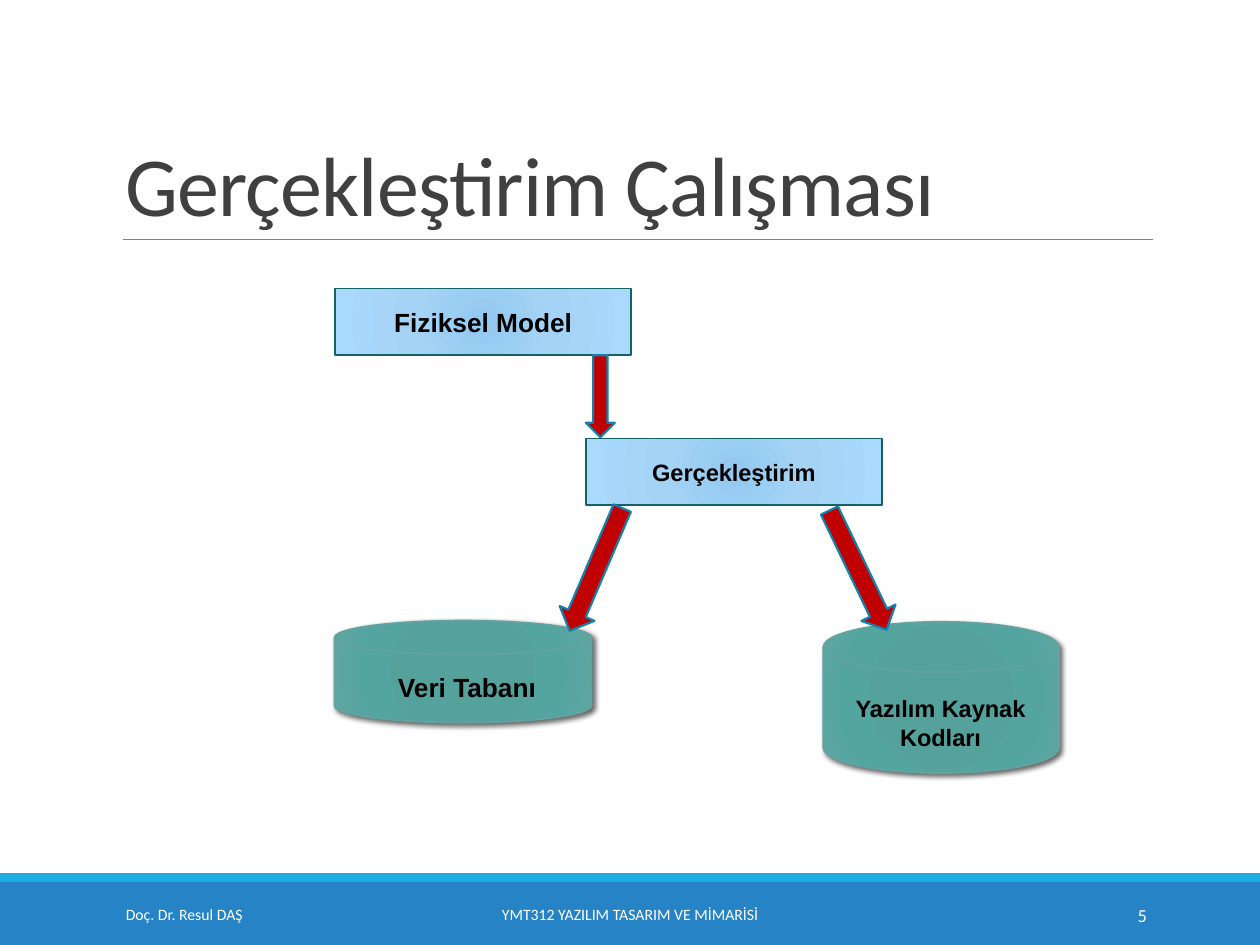
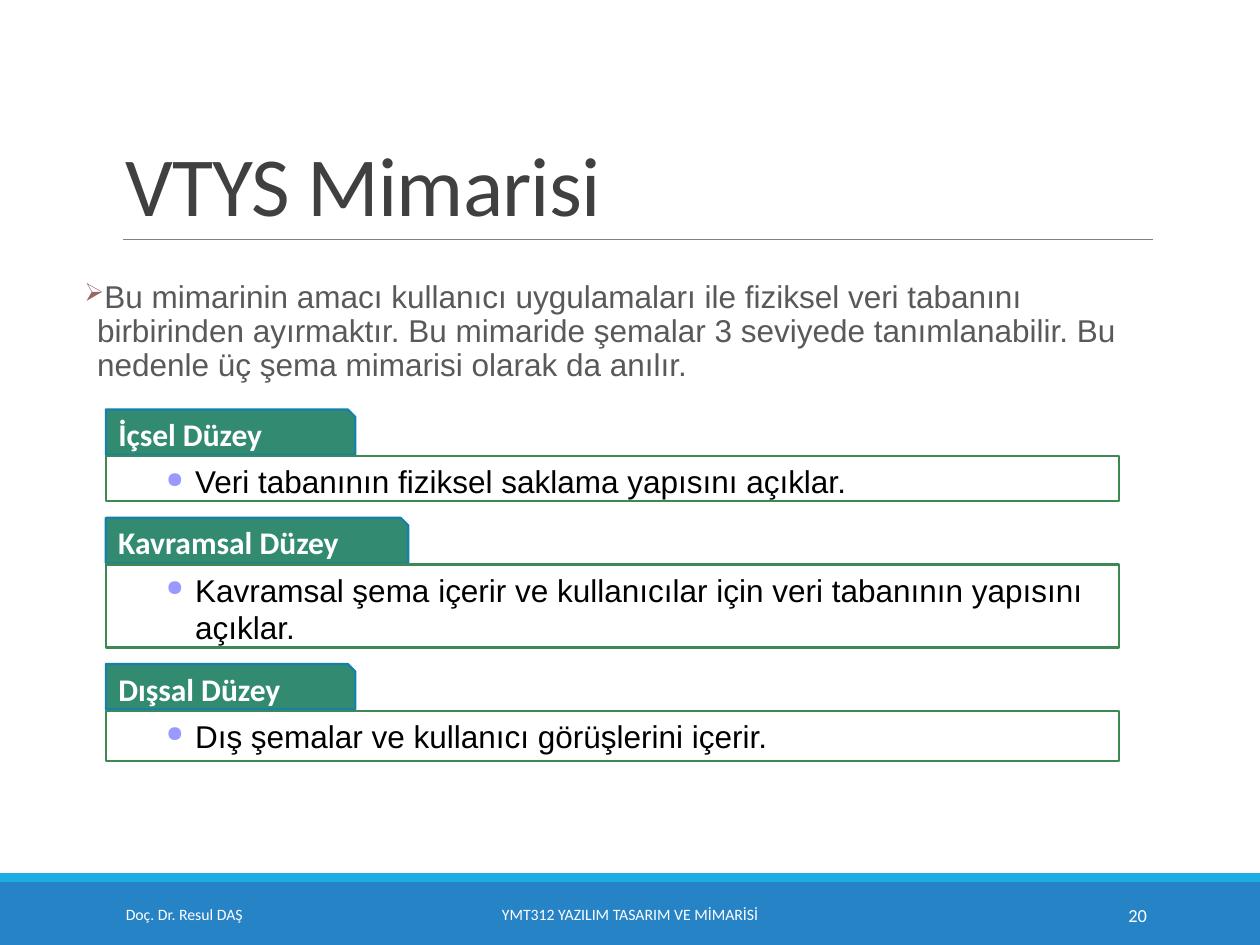
from pptx import Presentation, util as u
from pptx.dml.color import RGBColor
from pptx.enum import shapes, text
from pptx.oxml import parse_xml
from pptx.oxml.ns import nsdecls, qn

Inches, Pt = u.Inches, u.Pt
SHAPE, ALIGN, ANCHOR = shapes.MSO_SHAPE, text.PP_ALIGN, text.MSO_ANCHOR
WHITE, BLACK, TITLE, BODY = "FFFFFF", "000000", "404040", "595959"
BAND, STRIPE, RULE = "2683C6", "1CADE4", "808080"
TAB, BLUE_EDGE, GREEN_EDGE, ARROW = "328B71", "1580A9", "3E8853", "C00000"
BOX_EDGE, DRUM_EDGE = "146266", "62A39F"
BOX_STOPS = [(0, "92C9F0"), (45, "A4D3F5"), (100, "A9D9FD")]
DRUM_STOPS = [(0, "52A19C"), (34, "55A19C"), (70, "54A5A0"), (100, "5FA6A2")]
LECTURER = "Doç. Dr. Resul DAŞ"
COURSE = "YMT312 YAZILIM TASARIM VE MİMARİSİ"


def rgb(value):
    """Turn a hex string into a colour."""
    return RGBColor.from_string(value)


def xml(source):
    """Parse one DrawingML element."""
    head, rest = source.split(">", 1)
    slash = "/" if head.endswith("/") else ""
    return parse_xml(f"{head.rstrip('/')} {nsdecls('a')}{slash}>{rest}")


def write(sp, words, size, color, font="Arial", bold=False, align=ALIGN.LEFT,
          anchor=ANCHOR.MIDDLE, wrap=True):
    """Put one formatted paragraph into a shape and return it."""
    tf = sp.text_frame
    tf.word_wrap, tf.vertical_anchor = wrap, anchor
    p = tf.paragraphs[0]
    p.text, p.alignment = words, align
    for r in p.runs:
        r.font.size, r.font.name, r.font.bold = Pt(size), font, bold
        r.font.color.rgb = rgb(color)
    return p


def add_text(s, at, words, size, color, **style):
    """Add a text box and return it."""
    sp = s.shapes.add_textbox(*map(Inches, at))
    write(sp, words, size, color, **style)
    return sp


def add_shape(s, kind, at, fill, line=None, width=1.25, rotation=0):
    """Add a preset shape with a solid fill or a list of gradient stops."""
    sp = s.shapes.add_shape(kind, *map(Inches, at))
    sp.shadow.inherit = False
    sp.rotation = rotation
    if isinstance(fill, str):
        sp.fill.solid()
        sp.fill.fore_color.rgb = rgb(fill)
    else:
        add_gradient(sp, fill)
    if line:
        sp.line.color.rgb = rgb(line)
        sp.line.width = Pt(width)
    else:
        sp.line.fill.background()
    return sp


def add_gradient(sp, stops):
    """Fill a shape with a circular gradient."""
    marks = "".join(f'<a:gs pos="{pos * 1000}"><a:srgbClr val="{color}"/></a:gs>'
                    for pos, color in stops)
    sp.fill.solid()
    spPr = sp._element.spPr
    spPr.replace(spPr.find(qn("a:solidFill")), xml(
        f'<a:gradFill rotWithShape="1"><a:gsLst>{marks}</a:gsLst><a:path path="circle">'
        '<a:fillToRect l="100000" t="100000" r="100000" b="100000"/></a:path></a:gradFill>'))


def add_bullet(p, char, color, percent, left, hang):
    """Give a paragraph a coloured hanging bullet."""
    pPr = p._p.get_or_add_pPr()
    pPr.set("marL", str(Inches(left)))
    pPr.set("indent", str(-Inches(hang)))
    for source in (f'<a:buClr><a:srgbClr val="{color}"/></a:buClr>',
                   f'<a:buSzPct val="{percent * 1000}"/>',
                   f'<a:buChar char="{char}"/>'):
        pPr.append(xml(source))


def add_slide(prs, title, number):
    """Add a slide with its title, rule, bands and footer."""
    s = prs.slides.add_slide(prs.slide_layouts[6])
    add_shape(s, SHAPE.RECTANGLE, (0, 7, 10, 0.5), BAND)
    add_shape(s, SHAPE.RECTANGLE, (0, 6.93, 10, 0.07), STRIPE)
    rule = s.shapes.add_connector(shapes.MSO_CONNECTOR.STRAIGHT,
                                  *map(Inches, (0.98, 1.9, 9.15, 1.9)))
    rule.line.color.rgb = rgb(RULE)
    rule.line.width = Pt(0.5)
    rule._element.spPr.append(xml("<a:effectLst/>"))
    sp = add_text(s, (0.9, 0.31, 8.25, 1.59), title, 48, TITLE,
                  font="Calibri", anchor=ANCHOR.BOTTOM)
    p = sp.text_frame.paragraphs[0]
    p.line_spacing = 0.85
    p.runs[0]._r.get_or_add_rPr().set("spc", "-50")
    for left, width, words, size, align in (
            (0.9, 2.03, LECTURER, 9, ALIGN.LEFT),
            (3.02, 3.96, COURSE, 9, ALIGN.CENTER),
            (8.12, 1.08, str(number), 10.5, ALIGN.RIGHT)):
        add_text(s, (left, 7.06, width, 0.4), words, size, WHITE,
                 font="Calibri", align=align)
    return s


def add_step(s, left, top, words, size):
    """Add a labelled process box."""
    sp = add_shape(s, SHAPE.RECTANGLE, (left, top, 2.35, 0.53), BOX_STOPS, BOX_EDGE, 1)
    write(sp, words, size, BLACK, bold=True, align=ALIGN.CENTER)


def add_drum(s, at):
    """Add an upright storage drum with a soft shadow."""
    sp = add_shape(s, SHAPE.FLOWCHART_DIRECT_ACCESS_STORAGE, at, DRUM_STOPS,
                   DRUM_EDGE, 1, 270)
    sp._element.spPr.find(qn("a:effectLst")).append(xml(
        f'<a:outerShdw blurRad="{Pt(3)}" dist="{Pt(2)}" dir="2700000" rotWithShape="0">'
        f'<a:srgbClr val="{BLACK}"><a:alpha val="60000"/></a:srgbClr></a:outerShdw>'))


def add_drum_label(s, at, words, size, align):
    """Add the bold label of a drum."""
    sp = add_text(s, at, words, size, BLACK, bold=True, align=align,
                  anchor=ANCHOR.TOP, wrap=False)
    sp.text_frame.auto_size = text.MSO_AUTO_SIZE.SHAPE_TO_FIT_TEXT


def add_level(s, top, tab_width, name, height, words):
    """Add a schema level: a name tab above a bulleted description."""
    tab = add_shape(s, SHAPE.SNIP_1_RECTANGLE, (0.84, top, tab_width, 0.36), TAB, BLUE_EDGE)
    write(tab, name, 18, WHITE, font="Calibri", bold=True)
    box = add_shape(s, SHAPE.RECTANGLE, (0.84, top + 0.37, 8.04, height), WHITE, GREEN_EDGE)
    p = write(box, words, 18, BLACK, anchor=ANCHOR.TOP)
    p.level = 1
    add_bullet(p, "●", "9999FF", 70, 0.61, 0.23)


def build_implementation(prs):
    """Build the flow from physical model to database and source code."""
    s = add_slide(prs, "Gerçekleştirim Çalışması", 5)
    add_step(s, 2.66, 2.29, "Fiziksel Model", 15)
    add_step(s, 4.65, 3.48, "Gerçekleştirim", 13.5)
    add_drum(s, (3.27, 4.31, 0.81, 2.04))
    add_drum(s, (6.87, 4.6, 1.2, 1.87))
    for at, rotation in (((4.65, 2.82, 0.23, 0.65), 0),
                         ((4.58, 3.99, 0.3, 1.06), 23.2),
                         ((6.66, 4, 0.3, 1.05), 334.4)):
        add_shape(s, SHAPE.DOWN_ARROW, at, ARROW, BLUE_EDGE, rotation=rotation)
    add_drum_label(s, (3.06, 5.28, 1.31, 0.35), "Veri Tabanı", 15, ALIGN.LEFT)
    add_drum_label(s, (6.68, 5.46, 1.57, 0.56), "Yazılım Kaynak\vKodları", 13.5,
                   ALIGN.CENTER)


def build_architecture(prs):
    """Build the three schema levels of the database architecture."""
    s = add_slide(prs, "VTYS Mimarisi", 20)
    intro = add_text(
        s, (0.67, 2.18, 8.62, 0.94),
        "Bu mimarinin amacı kullanıcı uygulamaları ile fiziksel veri tabanını "
        "birbirinden ayırmaktır. Bu mimaride şemalar 3 seviyede tanımlanabilir. "
        "Bu nedenle üç şema mimarisi olarak da anılır.", 18, BODY, anchor=ANCHOR.TOP)
    tf = intro.text_frame
    tf.margin_left = tf.margin_right = 0
    p = tf.paragraphs[0]
    add_bullet(p, "➢", "996666", 80, 0.1, 0.1)
    p.line_spacing = 0.9
    top = 3.25
    for tab_width, name, height, words in (
            (1.98, "İçsel Düzey", 0.36, "Veri tabanının fiziksel saklama yapısını açıklar."),
            (2.4, "Kavramsal Düzey", 0.66,
             "Kavramsal şema içerir ve kullanıcılar için veri tabanının yapısını açıklar."),
            (1.98, "Dışsal Düzey", 0.4, "Dış şemalar ve kullanıcı görüşlerini içerir.")):
        add_level(s, top, tab_width, name, height, words)
        top += height + 0.5


def main():
    """Build and save the presentation."""
    prs = Presentation()
    prs.slide_width, prs.slide_height = Inches(10), Inches(7.5)
    build_implementation(prs)
    build_architecture(prs)
    prs.save("out.pptx")


if __name__ == "__main__":
    main()
